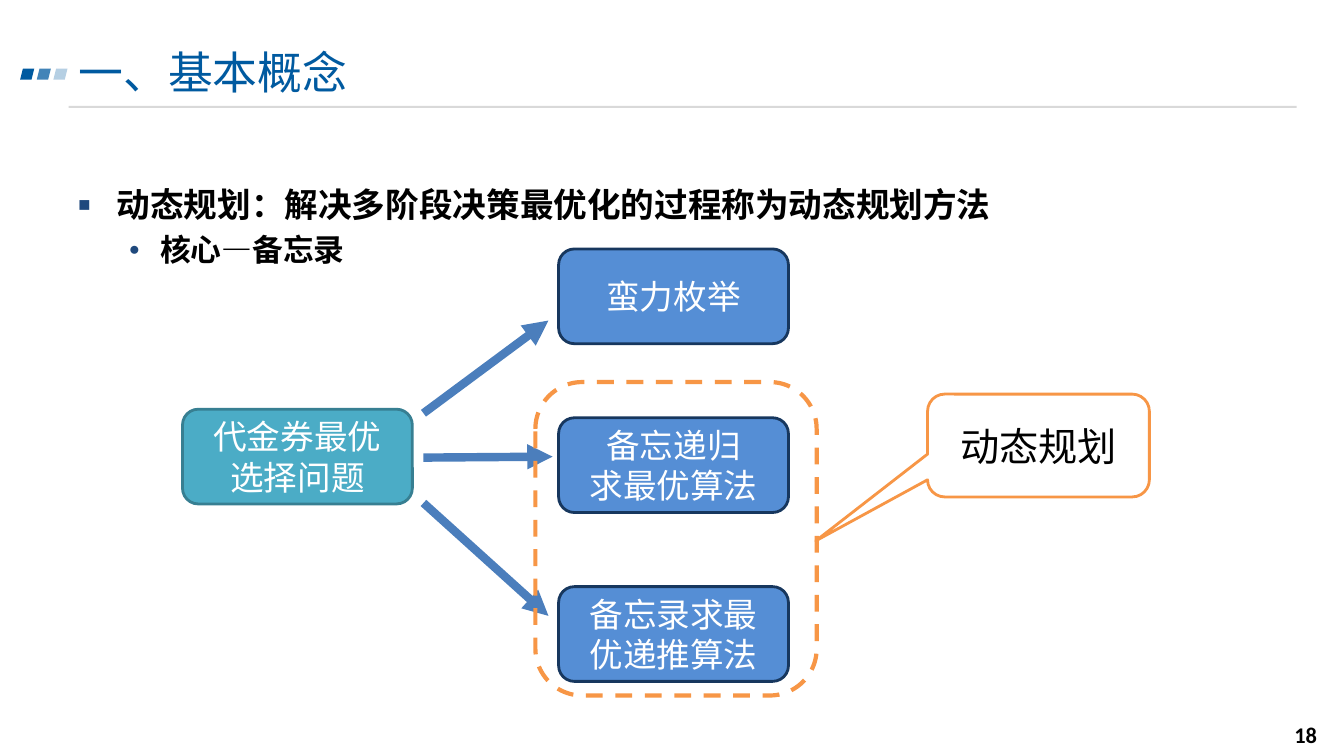
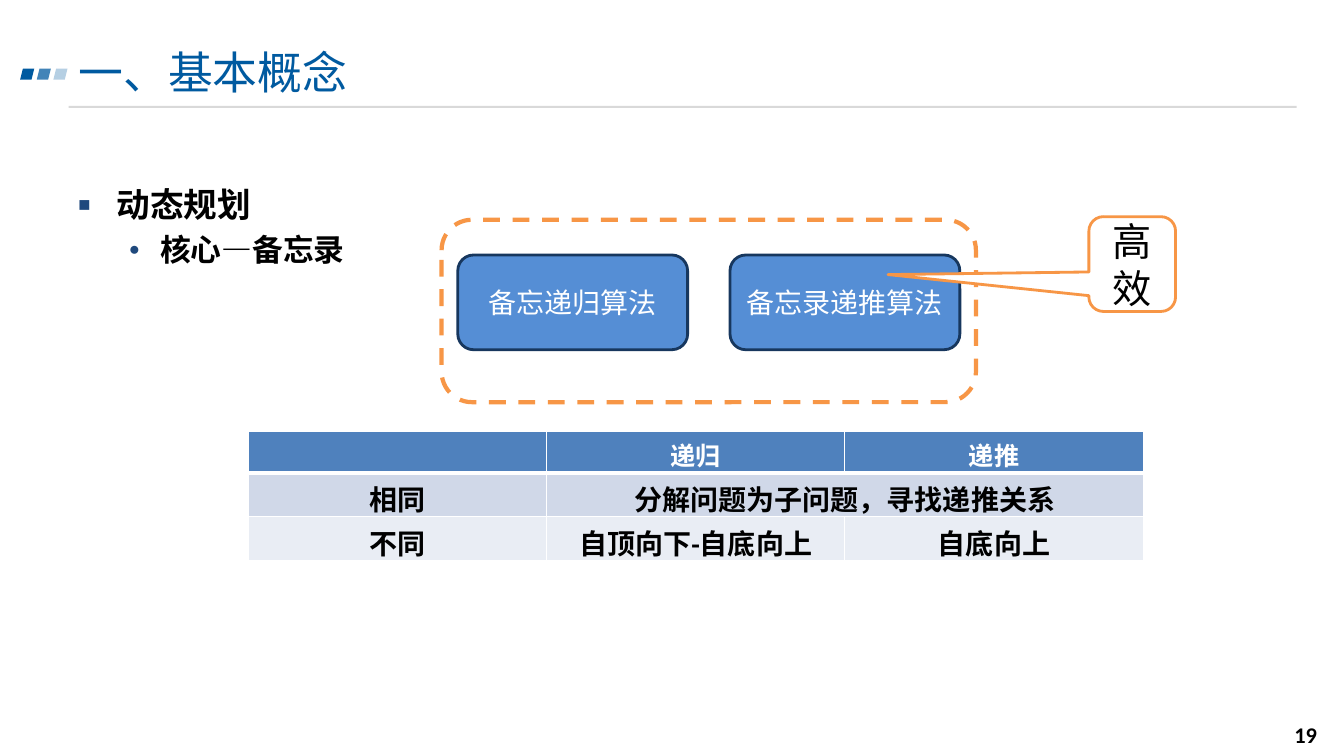
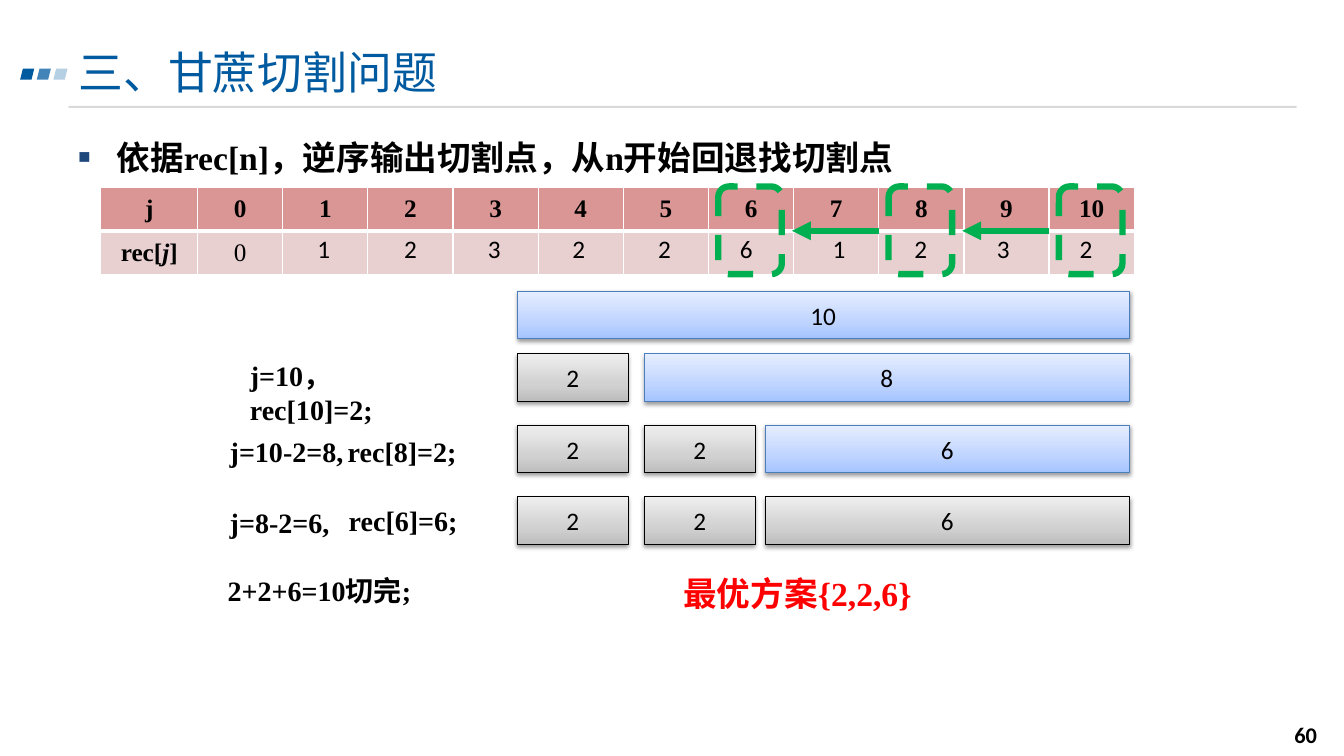
import dataclasses

import lxml.etree
import pptx
import pptx.dml.color
import pptx.enum.dml
import pptx.enum.shapes
import pptx.enum.text
import pptx.oxml.ns
import pptx.util

Inches = pptx.util.Inches
Pt = pptx.util.Pt
qn = pptx.oxml.ns.qn
SHAPE = pptx.enum.shapes.MSO_SHAPE
ANCHOR = pptx.enum.text.MSO_ANCHOR
ALIGN = pptx.enum.text.PP_ALIGN


@dataclasses.dataclass(frozen=True)
class Theme:
    # Fonts
    sans: str = "Calibri"
    serif: str = "Times New Roman"
    chinese: str = "Noto Sans CJK SC"
    # Colours
    title: str = "005AA0"
    rule: str = "D9D9D9"
    bullet: str = "1F497D"
    black: str = "000000"
    white: str = "FFFFFF"
    red: str = "FF0000"
    green: str = "00B050"
    orange: str = "F79646"
    arrow: str = "4B7EBC"
    problem: tuple = ("4BACC6", "377F92")
    method: tuple = ("558ED5", "17375E")
    blue_rows: tuple = ("4F81BD", "D0D8E8", "E9EDF4")
    red_rows: tuple = ("D99694", "E8D0D0")
    whole_bar: tuple = ("4B7EBC", ("A4C4FF", "BFD4FF", "E6EEFF"))
    cut_bar: tuple = ("000000", ("BDBDBD", "D1D1D1", "EEEEEE"))
    # Type sizes
    title_size: int = 32
    callout_size: int = 28
    body_size: int = 24
    sub_size: int = 22
    note_size: int = 20
    small_size: int = 18
    number_size: int = 16


THEME = Theme()


def rgb(value):
    return pptx.dml.color.RGBColor.from_string(value)


def add_xml(parent, tag, **attributes):
    values = {name: str(value) for name, value in attributes.items()}
    return lxml.etree.SubElement(parent, qn(tag), values)


class Deck:
    """Holds the style and the slide being drawn."""

    def __init__(self, theme):
        self.theme = theme
        self.presentation = pptx.Presentation()
        self.presentation.slide_width = Inches(13.33)
        self.presentation.slide_height = Inches(7.5)
        self.slide = None

    def new_slide(self, title, number):
        theme = self.theme
        layout = self.presentation.slide_layouts[6]
        self.slide = self.presentation.slides.add_slide(layout)
        # Rule and title marks
        self.shape(SHAPE.RECTANGLE, (0.68, 1.05, 12.18, 0.02), theme.rule)
        for index, opacity in enumerate((100, 74, 29)):
            mark = self.shape(SHAPE.PARALLELOGRAM,
                              (0.2 + 0.165 * index, 0.68, 0.14, 0.11), theme.title)
            color = mark.fill._xPr.find(qn("a:solidFill"))[0]
            add_xml(color, "a:alpha", val=opacity * 1000)
        # Page number and title
        self.text((12.44, 7.09, 0.72, 0.4), str(number), theme.number_size,
                  bold=True, align=ALIGN.RIGHT, anchor=ANCHOR.MIDDLE)
        box = self.text((0.68, 0.44, 11.02, 0.71), title, theme.title_size,
                        color=theme.title)
        box.text_frame.paragraphs[0].line_spacing = Pt(35)

    def styled_run(self, paragraph, text, size, color=None, font=None, bold=False,
                   italic=False):
        run = paragraph.add_run()
        run.text = text
        run.font.size = Pt(size)
        run.font.bold = bold
        run.font.italic = italic
        run.font.color.rgb = rgb(color or self.theme.black)
        run.font.name = font or self.theme.sans
        add_xml(run.font._element, "a:ea", typeface=self.theme.chinese)

    def text(self, place, text, size, align=ALIGN.LEFT, anchor=ANCHOR.TOP,
             wrap=True, **style):
        box = self.slide.shapes.add_textbox(*map(Inches, place))
        box.text_frame.word_wrap = wrap
        box.text_frame.vertical_anchor = anchor
        paragraph = box.text_frame.paragraphs[0]
        paragraph.alignment = align
        self.styled_run(paragraph, text, size, **style)
        return box

    def bullets(self, top, items, font):
        """Items are (level, text) pairs."""
        theme = self.theme
        styles = ((0.38, -0.38, "■", theme.body_size),
                  (0.81, -0.31, "●", theme.sub_size))
        box = self.slide.shapes.add_textbox(
            Inches(0.68), Inches(top), Inches(12.13), Inches(6.51 - top))
        frame = box.text_frame
        frame.word_wrap = True
        for index, (level, text) in enumerate(items):
            margin, indent, symbol, size = styles[level]
            paragraph = frame.add_paragraph() if index else frame.paragraphs[0]
            paragraph.level = level
            if index:
                paragraph.space_before = Pt(0.2 * size)
            properties = paragraph._p.get_or_add_pPr()
            properties.set("marL", str(Inches(margin)))
            properties.set("indent", str(Inches(indent)))
            color = add_xml(properties, "a:buClr")
            add_xml(color, "a:srgbClr", val=theme.bullet)
            add_xml(properties, "a:buSzPct", val=60000)
            add_xml(properties, "a:buFont", typeface=theme.serif)
            add_xml(properties, "a:buChar", char=symbol)
            self.styled_run(paragraph, text, size, font=font, bold=True)

    def shape(self, kind, place, fill=None, line=None, width=2, lines=(),
              size=None, color=None):
        shape = self.slide.shapes.add_shape(kind, *map(Inches, place))
        shape.shadow.inherit = False
        if fill:
            shape.fill.solid()
            shape.fill.fore_color.rgb = rgb(fill)
        else:
            shape.fill.background()
        if line:
            shape.line.color.rgb = rgb(line)
            shape.line.width = Pt(width)
        else:
            shape.line.fill.background()
        frame = shape.text_frame
        frame.word_wrap = True
        frame.vertical_anchor = ANCHOR.MIDDLE
        for index, text in enumerate(lines):
            paragraph = frame.add_paragraph() if index else frame.paragraphs[0]
            paragraph.alignment = ALIGN.CENTER
            self.styled_run(paragraph, text, size, color)
        return shape

    def card(self, left, top, colors, *lines, size=THEME.body_size):
        fill, line = colors
        self.shape(SHAPE.ROUNDED_RECTANGLE, (left, top, 2.28, 0.94), fill, line,
                   lines=lines, size=size, color=self.theme.white)

    def dashed_frame(self, place, color, width):
        frame = self.shape(SHAPE.ROUNDED_RECTANGLE, place, line=color, width=width)
        frame.line.dash_style = pptx.enum.dml.MSO_LINE.DASH

    def callout(self, place, pointer, text):
        theme = self.theme
        shape = self.shape(SHAPE.ROUNDED_RECTANGULAR_CALLOUT, place, theme.white,
                           theme.orange, lines=(text,), size=theme.callout_size)
        for index, value in enumerate((*pointer, 0.167)):
            shape.adjustments[index] = value

    def arrow(self, start, end, color, width):
        connector = self.slide.shapes.add_connector(
            pptx.enum.shapes.MSO_CONNECTOR.STRAIGHT, *map(Inches, (*start, *end)))
        connector.line.color.rgb = rgb(color)
        connector.line.width = Pt(width)
        add_xml(connector.line._get_or_add_ln(), "a:tailEnd", type="triangle")
        add_xml(connector._element.spPr, "a:effectLst")

    def bar(self, left, top, width, style, text):
        """A shaded bar with a soft shadow below it."""
        line, colors = style
        shape = self.shape(SHAPE.RECTANGLE, (left, top, width, 0.47), line=line,
                           width=0.75, lines=(text,), size=self.theme.small_size)
        shape.fill.gradient()
        shape.fill.gradient_angle = 90
        properties = shape._element.spPr
        stops = properties.find(qn("a:gradFill")).find(qn("a:gsLst"))
        for stop in list(stops):
            stops.remove(stop)
        for position, color in zip((0, 35, 100), colors):
            stop = add_xml(stops, "a:gs", pos=position * 1000)
            add_xml(stop, "a:srgbClr", val=color)
        shadow = add_xml(properties.find(qn("a:effectLst")), "a:outerShdw",
                         blurRad=Pt(3.1), dist=Pt(1.6), dir=90 * 60000, rotWithShape=0)
        color = add_xml(shadow, "a:srgbClr", val=self.theme.black)
        add_xml(color, "a:alpha", val=38000)

    def table(self, left, top, columns, row_height, row_count, fills):
        frame = self.slide.shapes.add_table(
            row_count, len(columns), Inches(left), Inches(top),
            Inches(sum(columns)), Inches(row_height * row_count))
        table = frame.table
        for column, width in zip(table.columns, columns):
            column.width = Inches(width)
        for index, row in enumerate(table.rows):
            row.height = Inches(row_height)
            for cell in row.cells:
                properties = cell._tc.get_or_add_tcPr()
                for side in "LRTB":
                    width = 3 if index == 0 and side == "B" else 1
                    line = add_xml(properties, "a:ln" + side, w=Pt(width))
                    fill = add_xml(line, "a:solidFill")
                    add_xml(fill, "a:srgbClr", val=self.theme.white)
                cell.fill.solid()
                cell.fill.fore_color.rgb = rgb(fills[index])
        return table

    def fill_cell(self, cell, text, size, anchor=ANCHOR.TOP, **style):
        cell.vertical_anchor = anchor
        paragraph = cell.text_frame.paragraphs[0]
        paragraph.alignment = ALIGN.CENTER
        self.styled_run(paragraph, text, size, **style)
        return paragraph


def concept_slide(deck):
    theme = deck.theme
    deck.new_slide("一、基本概念", 18)
    deck.bullets(1.78, ((0, "动态规划：解决多阶段决策最优化的过程称为动态规划方法"),
                        (1, "核心—备忘录")), theme.chinese)
    # Problem and its three methods
    deck.card(1.81, 4.06, theme.problem, "代金券最优选择问题")
    methods = (("蛮力枚举",), ("备忘递归", "求最优算法"), ("备忘录求最优递推算法",))
    for index, lines in enumerate(methods):
        deck.card(5.54, 2.47 + 1.675 * index, theme.method, *lines)
    for start, end in ((4.1, (5.44, 3.18)), (4.54, (5.48, 4.53)), (4.99, (5.44, 6.11))):
        deck.arrow((4.2, start), end, theme.arrow, 6)
    # Dynamic programming group
    deck.dashed_frame((5.31, 3.79, 2.79, 3.11), theme.orange, 3)
    deck.callout((9.2, 3.91, 2.2, 1.02), (-1.004, 0.927), "动态规划")


def comparison_slide(deck):
    theme = deck.theme
    deck.new_slide("一、基本概念", 19)
    deck.bullets(1.78, ((0, "动态规划"), (1, "核心—备忘录")), theme.chinese)
    # Two algorithms
    for left, name in ((4.54, "备忘递归算法"), (7.24, "备忘录递推算法")):
        deck.card(left, 2.53, theme.method, name, size=theme.note_size)
    deck.dashed_frame((4.38, 2.18, 5.3, 1.81), theme.orange, 3)
    # Comparison table
    rows = (("", "递归", "递推"),
            ("相同", "分解问题为子问题，寻找递推关系", ""),
            ("不同", "自顶向下-自底向上", "自底向上"))
    table = deck.table(2.46, 4.28, [2.96] * 3, 0.41, len(rows), theme.blue_rows)
    table.cell(1, 1).merge(table.cell(1, 2))
    for row, texts in enumerate(rows):
        size, color = ((theme.note_size, theme.black) if row
                       else (theme.small_size, theme.white))
        for column, text in enumerate(texts):
            if text:
                deck.fill_cell(table.cell(row, column), text, size, color=color,
                               bold=True)
    deck.callout((10.8, 2.15, 0.86, 0.94), (-2.817, 0.111), "高效")


def cutting_slide(deck):
    theme = deck.theme
    deck.new_slide("三、甘蔗切割问题", 60)
    deck.bullets(1.31, ((0, "依据rec[n]，逆序输出切割点，从n开始回退找切割点"),),
                 theme.serif)
    # Record table
    table_left, label_width = 1, 0.96
    step = (10.25 - label_width) / 11
    table = deck.table(table_left, 1.86, [label_width] + [step] * 11, 0.43, 2,
                       theme.red_rows)
    cell_style = dict(size=theme.small_size, anchor=ANCHOR.MIDDLE, font=theme.serif)
    for column, text in enumerate(("j", *map(str, range(11)))):
        deck.fill_cell(table.cell(0, column), text, bold=True, **cell_style)
    label = deck.fill_cell(table.cell(1, 0), "rec[", bold=True, **cell_style)
    for text, italic in (("j", True), ("]", False)):
        deck.styled_run(label, text, theme.small_size, font=theme.serif, bold=True,
                        italic=italic)
    deck.fill_cell(table.cell(1, 1), "0", **cell_style)
    lefts = (3.05, 3.91, 4.74, 5.58, 6.43, 7.24, 8.16, 8.97, 9.79, 10.61)
    for left, value in zip(lefts, "1232261232"):
        deck.text((left, 2.27, 0.4, 0.4), value, theme.small_size)
    # Backtracking marks, from j = 10 to 8 to 6
    mark_width = 0.63
    marks = [table_left + label_width + step * (j + 0.5) - mark_width / 2 - 0.01
             for j in (10, 8, 6)]
    for left in marks:
        deck.dashed_frame((left, 1.85, mark_width, 0.87), theme.green, 4.5)
    for start, end in zip(marks, marks[1:]):
        deck.arrow((start - 0.1, 2.29), (end + mark_width + 0.1, 2.29),
                   theme.green, 4.5)
    # Steps
    steps = ((2.38, 3.51, 2.1, "j=10，rec[10]=2;", True),
             (2.18, 4.26, 1.33, "j=10-2=8,", False),
             (3.35, 4.26, 1.29, "rec[8]=2;", False),
             (2.18, 4.97, 1.19, "j=8-2=6,", False),
             (3.36, 4.95, 1.29, "rec[6]=6;", False),
             (2.16, 5.64, 2.04, "2+2+6=10切完;", False))
    for left, top, width, text, wrap in steps:
        deck.text((left, top, width, 0.44), text, theme.note_size, wrap=wrap,
                  font=theme.serif, bold=True)
    deck.text((6.68, 5.63, 2.54, 0.5), "最优方案{2,2,6}", theme.body_size, wrap=False,
              color=theme.red, font=theme.serif, bold=True)
    # Cane pieces: the last piece of each row reaches the right edge
    lefts, cut_width, right = (5.13, 6.39, 7.59), 1.1, 11.2
    whole, cut = theme.whole_bar, theme.cut_bar
    rows = ((2.89, ("10",), whole), (3.51, ("2", "8"), whole),
            (4.22, ("2", "2", "6"), whole), (4.93, ("2", "2", "6"), cut))
    for top, pieces, last_style in rows:
        for index, (left, piece) in enumerate(zip(lefts, pieces)):
            last = index == len(pieces) - 1
            deck.bar(left, top, right - left if last else cut_width,
                     last_style if last else cut, piece)


def main():
    deck = Deck(THEME)
    concept_slide(deck)
    comparison_slide(deck)
    cutting_slide(deck)
    deck.presentation.save("out.pptx")


if __name__ == "__main__":
    main()
